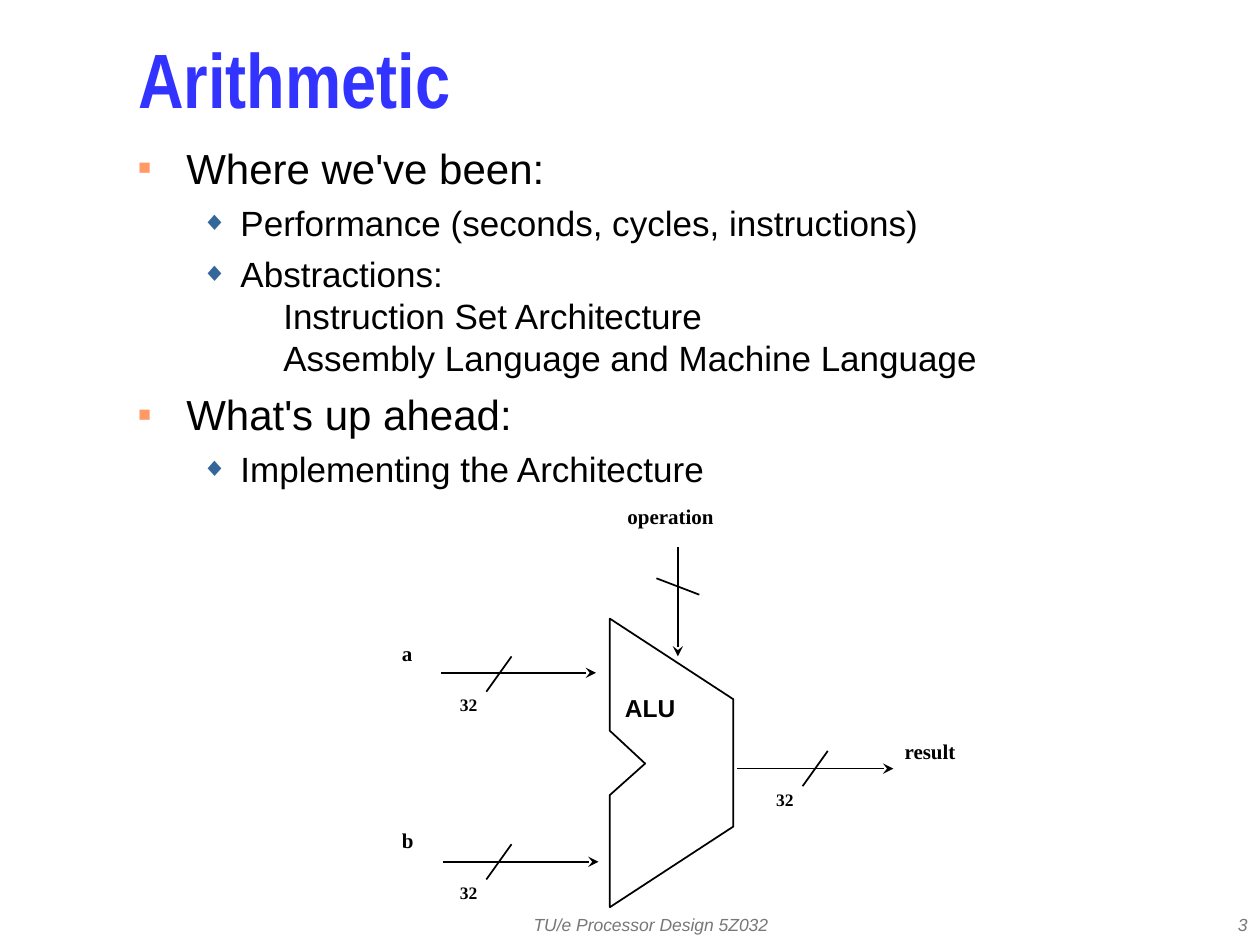
from dataclasses import dataclass

from lxml import etree
from pptx import Presentation
from pptx.dml.color import RGBColor
from pptx.enum.shapes import MSO_CONNECTOR
from pptx.enum.text import MSO_ANCHOR, PP_ALIGN
from pptx.oxml.ns import qn
from pptx.util import Inches, Pt

STRAIGHT = MSO_CONNECTOR.STRAIGHT
TOP, MIDDLE = MSO_ANCHOR.TOP, MSO_ANCHOR.MIDDLE
LEFT, CENTER, RIGHT = PP_ALIGN.LEFT, PP_ALIGN.CENTER, PP_ALIGN.RIGHT


@dataclass(frozen=True)
class Theme:
    sans: str = "Arial"
    narrow: str = "Arial Narrow"
    serif: str = "Times New Roman"
    ink: str = "000000"
    body: str = "010000"
    title: str = "3333FF"
    footer: str = "777777"
    title_size: int = 44
    alu_size: int = 14
    label_size: int = 12
    small_size: int = 10
    line_width: int = 1


@dataclass(frozen=True)
class Level:
    size: int
    margin: float
    hanging: float
    before: int
    bullet: str
    bullet_color: str
    bullet_percent: int


THEME = Theme()
LEVELS = (
    Level(24, 0.38, 0.38, 6, "■", "FF9966", 50),
    Level(20, 0.81, 0.31, 5, "◆", "336699", 75),
)
OUTLINE = (
    (0, ["Where we've been:"]),
    (1, ["Performance (seconds, cycles, instructions)"]),
    (1, ["Abstractions:", "\tInstruction Set Architecture",
         "\tAssembly Language and Machine Language"]),
    (0, ["What's up ahead:"]),
    (1, ["Implementing the Architecture"]),
)
CONTINUATION_TAB = 1.15
ALU_OUTLINE = ((4.84, 4.91), (4.84, 5.8), (5.12, 6.06), (4.84, 6.31),
               (4.84, 7.2), (5.82, 6.56), (5.82, 5.55))
# Each 32-bit bus: arrow start, arrow end, top of its slash
BUSES = (
    ((3.5, 5.34), (4.73, 5.34), (4.06, 5.21)),
    ((3.52, 6.84), (4.75, 6.84), (4.06, 6.7)),
    ((5.85, 6.1), (7.09, 6.1), (6.57, 5.96)),
)
SIGNALS = (
    ("operation", 4.96, 3.92, 1.88),
    ("result", 7.16, 5.78, 1.26),
    ("a", 3.17, 5.0, 0.8),
    ("b", 3.17, 6.49, 0.8),
)


def add_frame(page, left, top, width, height, inset=(0.1, 0.05), anchor=TOP):
    box = page.shapes.add_textbox(*map(Inches, (left, top, width, height)))
    frame = box.text_frame
    frame.word_wrap = True
    frame.vertical_anchor = anchor
    frame.margin_left = frame.margin_right = Inches(inset[0])
    frame.margin_top = frame.margin_bottom = Inches(inset[1])
    return frame


def write(para, text, size, font=THEME.sans, color=THEME.ink, bold=False,
          italic=False, align=LEFT, spacing=None, around=None):
    para.alignment = align
    if spacing is not None:
        para.line_spacing = spacing
    if around is not None:
        para.space_before = para.space_after = Pt(around)
    span = para.add_run()
    span.text = text
    span.font.size = Pt(size)
    span.font.name = font
    span.font.bold = bold
    span.font.italic = italic
    span.font.color.rgb = RGBColor.from_string(color)


def add_bullet(para, level):
    para.space_before = Pt(level.before)
    props = para._p.get_or_add_pPr()
    props.set("marL", str(Inches(level.margin)))
    props.set("indent", str(-Inches(level.hanging)))
    color = etree.SubElement(props, qn("a:buClr"))
    etree.SubElement(color, qn("a:srgbClr"), val=level.bullet_color)
    etree.SubElement(props, qn("a:buSzPct"), val=str(level.bullet_percent * 1000))
    etree.SubElement(props, qn("a:buFont"), typeface=THEME.sans)
    etree.SubElement(props, qn("a:buChar"), char=level.bullet)
    tabs = etree.SubElement(props, qn("a:tabLst"))
    etree.SubElement(tabs, qn("a:tab"), pos=str(Inches(CONTINUATION_TAB)), algn="l")


def add_outline(page):
    frame = add_frame(page, 1, 1.08, 8.58, 5.17)
    for index, (depth, lines) in enumerate(OUTLINE):
        para = frame.add_paragraph() if index else frame.paragraphs[0]
        para.level = depth
        add_bullet(para, LEVELS[depth])
        for number, line in enumerate(lines):
            if number:
                para.add_line_break()
            write(para, line, LEVELS[depth].size, color=THEME.body)


def add_line(page, start, end, arrow=False):
    line = page.shapes.add_connector(STRAIGHT, *map(Inches, (*start, *end)))
    line.line.width = Pt(THEME.line_width)
    line.line.color.rgb = RGBColor.from_string(THEME.ink)
    if arrow:
        etree.SubElement(line.line._get_or_add_ln(), qn("a:tailEnd"), type="stealth")
    etree.SubElement(line._element.spPr, qn("a:effectLst"))


def add_label(page, text, left, top, width, height, size, **style):
    frame = add_frame(page, left, top, width, height, inset=(0.02, 0.03))
    write(frame.paragraphs[0], text, size, bold=True, **style)


def add_bus(page, start, end, slash):
    """Draw an arrow crossed by a slash, with its width in bits below."""
    x, y = slash
    add_line(page, start, end, arrow=True)
    add_line(page, slash, (x - 0.2, y + 0.28))
    add_label(page, "32", x - 0.43, y + 0.27, 0.94, 0.36, THEME.small_size,
              font=THEME.serif, spacing=Pt(12))


def add_alu(page):
    points = [(Inches(x), Inches(y)) for x, y in ALU_OUTLINE]
    builder = page.shapes.build_freeform(*points[0])
    builder.add_line_segments(points[1:], close=True)
    alu = builder.convert_to_shape()
    alu.shadow.inherit = False
    alu.fill.background()
    alu.line.width = Pt(THEME.line_width)
    alu.line.color.rgb = RGBColor.from_string(THEME.ink)
    add_label(page, "ALU", 4.94, 5.48, 1.14, 0.41, THEME.alu_size, spacing=Pt(16))


def add_footer(page, text, left, width, align):
    frame = add_frame(page, left, 7.17, width, 0.33, anchor=MIDDLE)
    write(frame.paragraphs[0], text, THEME.small_size, color=THEME.footer,
          italic=True, align=align)


def main():
    deck = Presentation()
    deck.slide_width, deck.slide_height = Inches(10), Inches(7.5)
    page = deck.slides.add_slide(deck.slide_layouts[6])

    add_footer(page, "TU/e Processor Design 5Z032", 3.58, 3.17, CENTER)
    add_footer(page, "3", 7.92, 2.08, RIGHT)

    add_alu(page)
    for bus in BUSES:
        add_bus(page, *bus)
    add_line(page, (5.38, 4.34), (5.38, 5.21), arrow=True)
    add_line(page, (5.21, 4.59), (5.55, 4.72))
    for text, left, top, width in SIGNALS:
        add_label(page, text, left, top, width, 0.66, THEME.label_size,
                  font=THEME.serif, spacing=Pt(18), around=6)

    title = add_frame(page, 1, 0.17, 8.58, 1.08, anchor=MIDDLE)
    write(title.paragraphs[0], "Arithmetic", THEME.title_size, font=THEME.narrow,
          color=THEME.title, bold=True, spacing=0.7)
    add_outline(page)
    deck.save("out.pptx")


if __name__ == "__main__":
    main()
